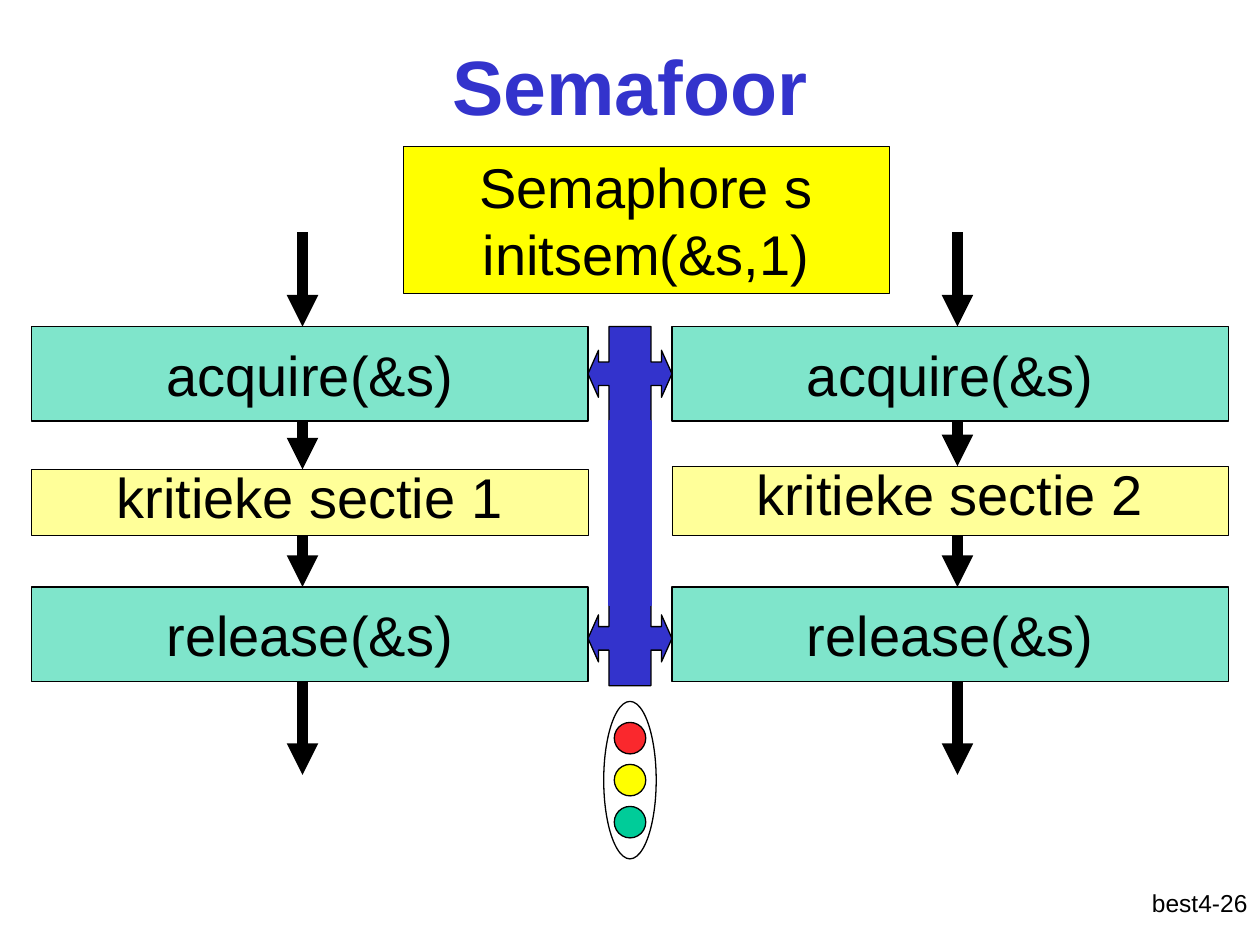
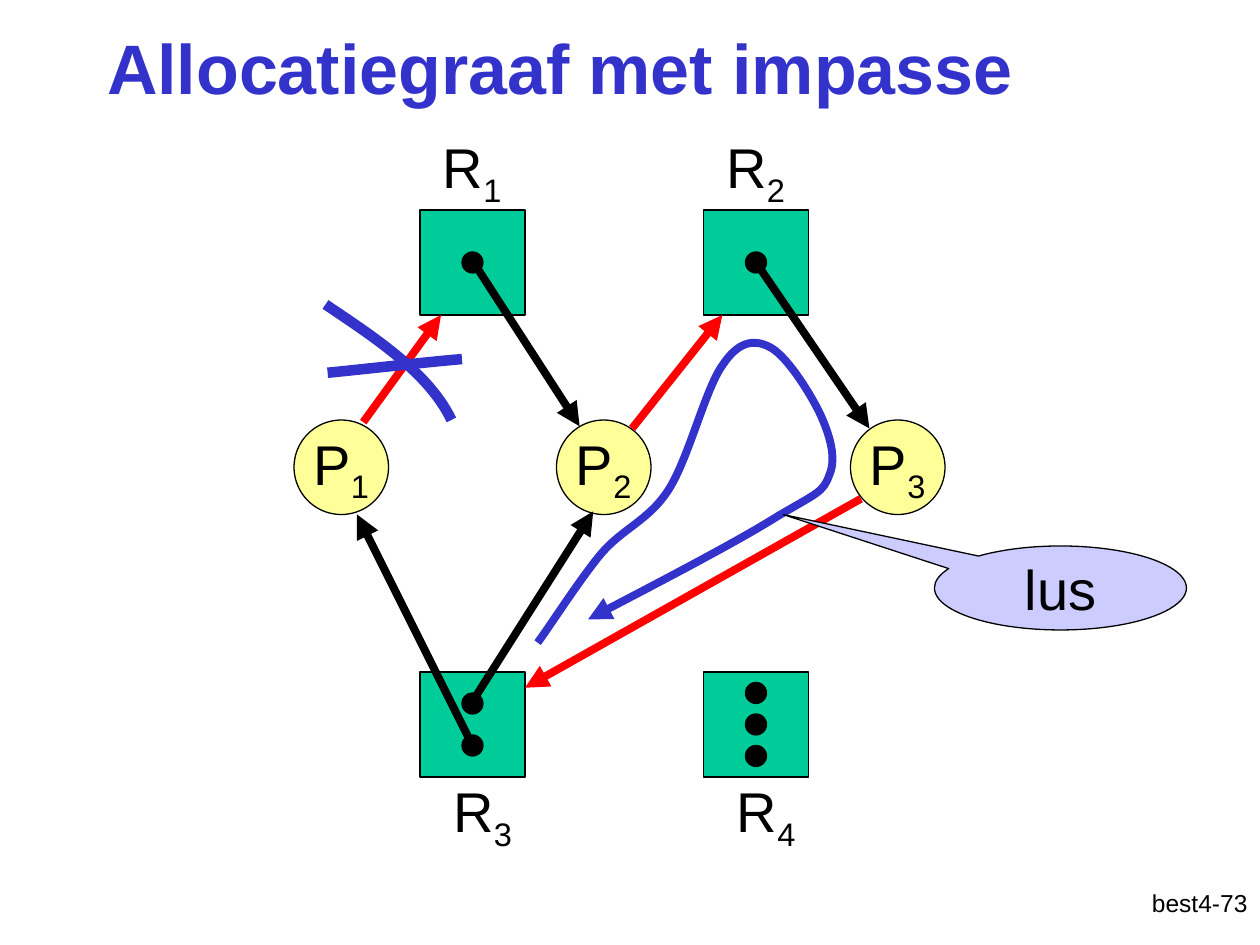
from lxml import etree
from pptx import Presentation
from pptx import util as u
from pptx.dml.color import RGBColor
from pptx.enum import shapes, text
from pptx.oxml.ns import qn

COLS, ROWS = 120, 90
CELL = u.Inches(10) // COLS
BLACK, BLUE, RED, GREEN = "000000", "3333CC", "FF0000", "00CC99"
YELLOW, PALE_YELLOW, LILAC, WHITE = "FFFF00", "FFFF99", "CCCCFF", "FFFFFF"
KIND = shapes.MSO_SHAPE
ALIGN = text.PP_ALIGN
MIDDLE, TOP = text.MSO_ANCHOR.MIDDLE, text.MSO_ANCHOR.TOP


def rgb(color):
    """Turn a hex string into a colour."""
    return RGBColor.from_string(color)


def emu(*cells):
    """Turn grid cells into lengths."""
    return [round(cell * CELL) for cell in cells]


def write(shape, lines, size=32, color=BLACK, bold=False, align=ALIGN.CENTER,
          anchor=MIDDLE, wrap=True, spacing=None):
    """Write lines into a shape; an underscore starts a subscript."""
    frame = shape.text_frame
    frame.word_wrap, frame.vertical_anchor = wrap, anchor
    for index, line in enumerate(lines):
        paragraph = frame.add_paragraph() if index else frame.paragraphs[0]
        paragraph.alignment = align
        if spacing:
            paragraph.line_spacing = spacing
        for level, part in enumerate(line.split("_")):
            run = paragraph.add_run()
            run.text = part
            style = {"name": "Arial", "size": u.Pt(size), "bold": bold}
            for name, value in style.items():
                setattr(run.font, name, value)
            run.font.color.rgb = rgb(color)
            if level:
                run.font._rPr.set("baseline", "-25000")


def stroke(shape, color, width, arrow=False):
    """Set a line's colour and width and give it an arrowhead if asked."""
    shape.line.color.rgb = rgb(color)
    shape.line.width = u.Pt(width)
    if arrow:
        etree.SubElement(shape.line._get_or_add_ln(), qn("a:tailEnd"), type="triangle")


def figure(slide, kind, box, fill, outline=BLACK, width=0.75, alpha=None, adjust=()):
    """Draw a filled preset shape in a grid box."""
    shape = slide.shapes.add_shape(kind, *emu(*box))
    shape.shadow.inherit = False
    shape.fill.solid()
    shape.fill.fore_color.rgb = rgb(fill)
    if alpha:
        tint = shape._element.spPr.find(qn("a:solidFill"))[0]
        etree.SubElement(tint, qn("a:alpha"), val=str(alpha * 1000))
    stroke(shape, outline, width)
    for index, value in enumerate(adjust):
        shape.adjustments[index] = value
    return shape


def label(slide, box, line, **style):
    """Place a text box in a grid box."""
    write(slide.shapes.add_textbox(*emu(*box)), [line], anchor=TOP, **style)


def arrow(slide, start, end, color=BLACK, width=4.5):
    """Draw a straight arrow between two grid points."""
    link = slide.shapes.add_connector(
        shapes.MSO_CONNECTOR.STRAIGHT, *emu(*start, *end))
    stroke(link, color, width, arrow=True)
    etree.SubElement(link._element.spPr, qn("a:effectLst"))


def curve(slide, points, width, arrow=False):
    """Draw a blue Bézier curve: a start, then three points for each piece."""
    start, *rest = [emu(*point) for point in points]
    builder = slide.shapes.build_freeform(*start, scale=1.0)
    builder.add_line_segments(rest, close=False)
    shape = builder.convert_to_shape()
    shape.shadow.inherit = False
    shape.fill.background()
    stroke(shape, BLUE, width, arrow)
    outline = next(shape._element.iter(qn("a:path")))
    steps = outline.findall(qn("a:lnTo"))
    for first in range(0, len(steps), 3):
        piece = etree.SubElement(outline, qn("a:cubicBezTo"))
        for step in steps[first:first + 3]:
            piece.append(step[0])
            outline.remove(step)


def titled_slide(deck, title, top, number, **style):
    """Add a slide with its title and page label."""
    slide = deck.slides.add_slide(deck.slide_layouts[5])
    heading = slide.shapes.title
    box = emu(9, top, 102, 15)
    for name, value in zip(("left", "top", "width", "height"), box):
        setattr(heading, name, value)
    write(heading, [title], color=BLUE, bold=True, **style)
    label(slide, (95, 84, 25, 6), f"best4-{number}", size=14, align=ALIGN.RIGHT)
    return slide


def process(slide, box, number, axis, section_top):
    """Draw one process: calls around a critical section, linked by arrows."""
    left, top, width, height = box
    acquire, section_end, release, call = top + 9, top + 28.9, top + 33.8, 9
    section = top + section_top
    x = left + axis * width
    stops = [(top, acquire), (acquire + call, section),
             (section_end, release), (release + call, top + height)]
    for row, line in ((acquire, "acquire(&s)"), (release, "release(&s)")):
        step = figure(slide, KIND.RECTANGLE, (left, row, width, call), GREEN, alpha=50)
        write(step, [line], wrap=False)
    critical = figure(slide, KIND.RECTANGLE,
                      (left, section, width, section_end - section),
                      PALE_YELLOW, width=0.25)
    write(critical, [f"kritieke sectie {number}"], anchor=TOP, spacing=0.8)
    for start, end in stops:
        arrow(slide, (x, start), (x, end), width=6)


def shared_channel(slide, box):
    """Draw the blue channel that links the calls of both processes."""
    left, top, width, height = box
    hub = 9
    for row in (top, top + height - hub):
        figure(slide, KIND.LEFT_RIGHT_ARROW_CALLOUT, (left, row, width, hub), BLUE,
               adjust=(0.28, 0.28, 0.125, 0.5))
    figure(slide, KIND.RECTANGLE,
           (left + width / 4, top + hub, width / 2, height - 1.85 * hub), BLUE, BLUE)


def traffic_light(slide, box):
    """Draw a traffic light with three equally spaced lamps."""
    left, top, width, height = box
    lamp, pitch = 3, 4
    figure(slide, KIND.OVAL, box, WHITE)
    for index, color in enumerate(("FA282D", YELLOW, GREEN)):
        row = top + (height - lamp) / 2 + (index - 1) * pitch
        figure(slide, KIND.OVAL, (left + (width - lamp) / 2, row, lamp, lamp), color)


def semaphore_slide(deck):
    """Build the slide on two processes sharing a semaphore."""
    slide = titled_slide(deck, "Semafoor", 0.6, 26, size=44)
    process(slide, (3, 22.1, 53, 51.7), 1, 0.487, 22.6)
    process(slide, (64, 22.1, 53, 51.7), 2, 0.513, 22.3)
    shared_channel(slide, (56, 31.1, 8, 34.2))
    traffic_light(slide, (57.5, 66.8, 5, 15))
    setup = figure(slide, KIND.RECTANGLE, (38.4, 13.95, 46.3, 14), YELLOW, width=0.25)
    write(setup, ["Semaphore s", "initsem(&s,1)"], anchor=TOP)


def resource(slide, box, number, dot_rows, label_shift):
    """Draw a resource square with its instances and its label."""
    left, top, width, _ = box
    dot = 2
    figure(slide, KIND.RECTANGLE, box, GREEN)
    for row in dot_rows:
        figure(slide, KIND.OVAL, (left + (width - dot) / 2, top + row, dot, dot), BLACK)
    across, down = label_shift
    label(slide, (left + across, top + down, 11, 8.5), f"R_{number}", align=ALIGN.LEFT)


def allocation_edges(slide):
    """Draw requests in red and allocations in black."""
    edges = {
        RED: [((34.6, 40.2), (42, 30)), ((60.2, 40.8), (68.8, 30)),
              ((82, 47.5), (50, 65.5))],
        BLACK: [((45.5, 25.6), (55.2, 40.6)), ((71.8, 24.7), (82.8, 40.8)),
                ((45.2, 66.5), (56.5, 48.7)), ((45, 71), (34, 49))],
    }
    for color, ends in edges.items():
        for start, end in ends:
            arrow(slide, start, end, color)


def deadlock_marks(slide):
    """Cross out one request and trace the loop."""
    curve(slide, [(31, 29), (35.9, 32.3), (40.8, 35.5), (43, 40)], 6)
    curve(slide, [(31.2, 35.5), (33.4, 35.3), (41.4, 34.4), (44, 34.2)], 6)
    loop = [(51.2, 61.2),
            (52.2, 59.9), (55.2, 55.2), (57.2, 52.8),
            (59.3, 50.3), (61.8, 49.6), (63.7, 46.6),
            (65.6, 43.6), (67.2, 37), (68.8, 34.8),
            (70.3, 32.5), (71.8, 32.3), (73.2, 33),
            (74.8, 33.7), (77, 37.2), (78, 39.2),
            (79, 41.3), (79.7, 43.6), (79, 45.2),
            (78.4, 46.9), (77.9, 46.9), (74, 49.2),
            (70.2, 51.6), (59.8, 57), (56, 59)]
    curve(slide, loop, 4.5, arrow=True)
    callout = figure(slide, KIND.OVAL_CALLOUT, (89, 52, 24, 8), LILAC,
                     adjust=(-1.1, -0.875))
    write(callout, ["lus"], wrap=False)


def allocation_slide(deck):
    """Build the slide on an allocation graph with a deadlock."""
    slide = titled_slide(deck, "Allocatiegraaf met impasse", -0.4, 73, size=40,
                         align=ALIGN.LEFT, spacing=0.8)
    for number, column in enumerate((28, 53, 81), 1):
        node = figure(slide, KIND.OVAL, (column, 40, 9, 9), PALE_YELLOW)
        write(node, [f"P_{number}"], wrap=False)
    above, below = (1, -8), (2, 9.4)
    resources = [(40, 20, (4,), above), (67, 20, (4,), above),
                 (40, 64, (2, 6), below), (67, 64, (1, 4, 7), below)]
    for number, (column, row, dot_rows, shift) in enumerate(resources, 1):
        resource(slide, (column, row, 10, 10), number, dot_rows, shift)
    allocation_edges(slide)
    deadlock_marks(slide)


def main():
    """Build and save the deck."""
    deck = Presentation()
    deck.slide_width, deck.slide_height = emu(COLS, ROWS)
    semaphore_slide(deck)
    allocation_slide(deck)
    deck.save("out.pptx")


if __name__ == "__main__":
    main()
